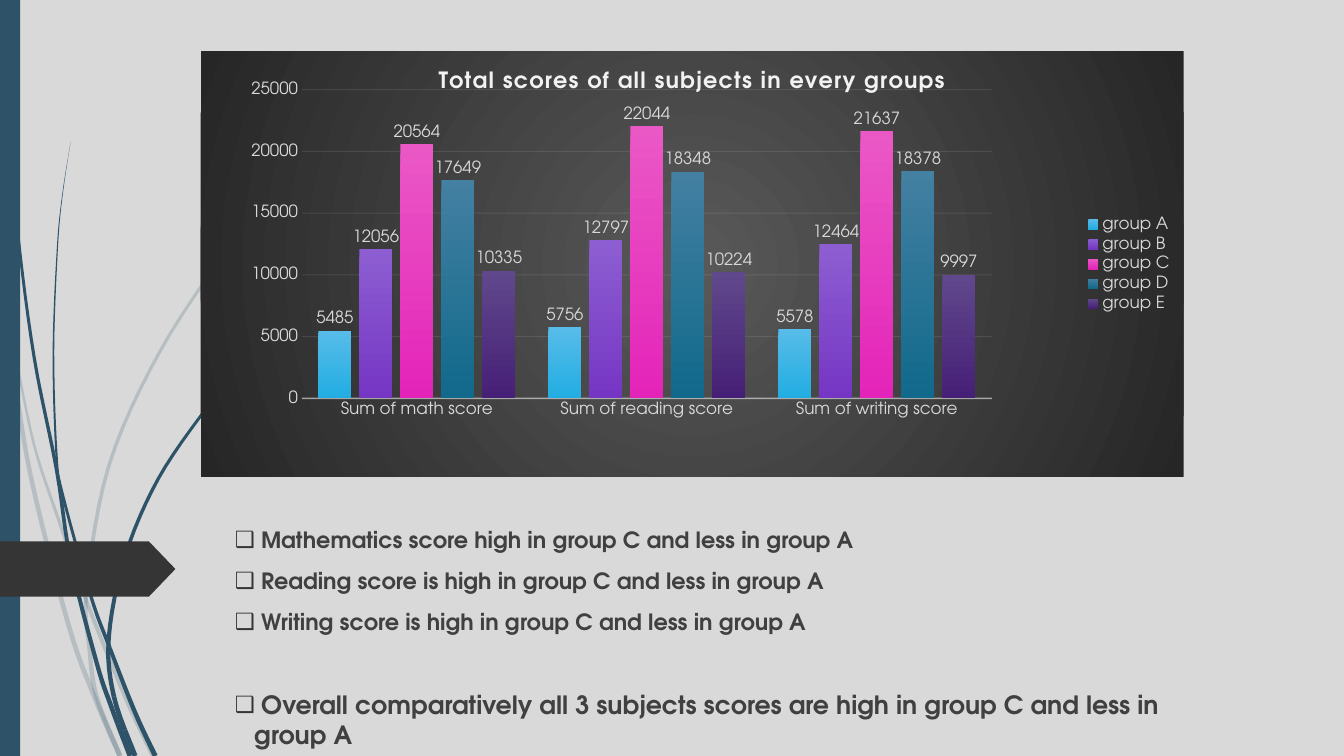
from math import hypot

from lxml import etree
from pptx import Presentation
from pptx.chart.data import CategoryChartData
from pptx.dml.color import RGBColor
from pptx.enum.chart import XL_CHART_TYPE, XL_LABEL_POSITION, XL_LEGEND_POSITION, XL_TICK_MARK
from pptx.enum.shapes import MSO_SHAPE
from pptx.enum.text import MSO_ANCHOR, MSO_AUTO_SIZE
from pptx.oxml import parse_xml
from pptx.oxml.ns import nsdecls, qn
from pptx.util import Inches, Pt

COLUMN = XL_CHART_TYPE.COLUMN_CLUSTERED
OUT_END, RIGHT = XL_LABEL_POSITION.OUTSIDE_END, XL_LEGEND_POSITION.RIGHT
NO_TICK = XL_TICK_MARK.NONE
RECT, ARROW = MSO_SHAPE.RECTANGLE, MSO_SHAPE.PENTAGON
TOP, NO_FIT = MSO_ANCHOR.TOP, MSO_AUTO_SIZE.NONE

FONT = "TeX Gyre Adventor"
PAPER = RGBColor(0xD9, 0xD9, 0xD9)
WHITE = RGBColor(0xF2, 0xF2, 0xF2)
BLUE = RGBColor(0x2E, 0x53, 0x69)
DARK = RGBColor(0x35, 0x35, 0x35)
INK = RGBColor(0x40, 0x40, 0x40)
GLOW = RGBColor(0x59, 0x59, 0x59)
EDGE = RGBColor(0x26, 0x26, 0x26)

# Stems: opacity, half width at the tip, heights of the joints, centre line
STEMS = [
    (20, 0.02, (3.5, 7.14), [(0, 2.9), (0.11, 3.5), (0.3, 4.7), (0.68, 6.2),
                             (0.94, 6.92), (1.19, 7.5)]),
    (20, 0.01, (5.97,), [(0.14, 3.45), (0.34, 4.42), (0.6, 5.21), (0.86, 5.97),
                         (1.25, 6.93), (1.52, 7.5)]),
    (20, 0.01, (5.96, 6.9, 7.11), [
        (3.12, 1.53), (2.68, 1.98), (2.28, 2.44), (1.59, 3.48), (1.08, 4.62),
        (0.86, 5.84), (0.89, 6.46), (0.96, 6.92), (1.19, 7.5)]),
    (100, 0.01, (4.79, 7.21), [
        (0.04, 0), (0.08, 1.1), (0.18, 2.33), (0.34, 3.55), (0.56, 4.65),
        (0.7, 5.56), (0.96, 6.58), (1.1, 7), (1.29, 7.5)]),
    (100, 0, (4.72, 6.43), [
        (0.7, 1.41), (0.62, 1.93), (0.57, 2.45), (0.53, 3.49), (0.56, 4.5),
        (0.62, 4.9), (0.9, 5.91), (1.09, 6.43), (1.34, 7.07), (1.54, 7.5)]),
    (100, 0.01, (6.38, 6.91, 7.19), [
        (2.6, 3.44), (2.31, 3.74), (2.04, 4.06), (1.57, 4.75), (1.24, 5.52),
        (1.08, 6.32), (1.13, 6.91), (1.34, 7.5)]),
]
SCORES = ["Sum of math score", "Sum of reading score", "Sum of writing score"]
# Name, values, colour at the top and at the foot of the bar
GROUPS = [
    ("group A", (5485, 5756, 5578), "57BCE9", "22ADE2"),
    ("group B", (12056, 12797, 12464), "8D5ED1", "7536C4"),
    ("group C", (20564, 22044, 21637), "EA58C6", "E424B9"),
    ("group D", (17649, 18348, 18378), "4380A2", "11698B"),
    ("group E", (10335, 10224, 9997), "60488D", "462076"),
]
# Text, size, space before
NOTES = [
    ("Mathematics score high in group C and less in group A", 16, 0),
    ("Reading score is high in group C and less in group A", 16, 10),
    ("Writing score is high in group C and less in group A", 16, 10),
    ("Overall comparatively all 3 subjects scores are high in group C "
     "and less in group A", 18, 39),
]


def apply(item, values):
    for name, value in values.items():
        setattr(item, name, value)


def fade(color, share):
    etree.SubElement(color, qn("a:alpha")).set("val", str(share * 1000))


def curve(points, steps=6):
    """Smooth line through all points (Catmull-Rom)."""
    ends = [points[0], *points, points[-1]]
    line = []
    for a, b, c, d in zip(ends, ends[1:], ends[2:], ends[3:]):
        for t in (step / steps for step in range(steps)):
            line.append(tuple(
                q + t * (r - p) / 2 + t * t * (2 * p - 5 * q + 4 * r - s) / 2
                + t ** 3 * (3 * q - p - 3 * r + s) / 2
                for p, q, r, s in zip(a, b, c, d)))
    return line + [points[-1]]


class Board:
    def __init__(self, deck):
        self.slide = deck.slides.add_slide(deck.slide_layouts[1])
        self.shapes = self.slide.shapes
        back = self.slide.background.fill
        back.solid()
        back.fore_color.rgb = PAPER

    def paint(self, shape, color):
        shape.shadow.inherit = False
        shape.fill.solid()
        shape.fill.fore_color.rgb = color
        shape.line.fill.background()
        return shape

    def block(self, kind, box, color):
        return self.paint(self.shapes.add_shape(kind, *map(Inches, box)), color)

    def stem(self, share, tip, joints, points):
        line = curve(points)
        sides = []
        for i, (x, y) in enumerate(line):
            (x0, y0), (x1, y1) = line[max(i - 1, 0)], line[min(i + 1, len(line) - 1)]
            half = (tip + (0.025 - tip) * i / len(line)) / hypot(x1 - x0, y1 - y0)
            dx, dy = half * (y1 - y0), half * (x1 - x0)
            sides.append(((Inches(x + dx), Inches(y - dy)), (Inches(x - dx), Inches(y + dy))))
        cuts = [min(range(len(line)), key=lambda i: abs(line[i][1] - y)) for y in joints]
        for start, end in zip([0, *cuts], [*cuts, len(line) - 1]):
            left, right = zip(*sides[start:end + 1])
            pen = self.shapes.build_freeform(*left[0])
            pen.add_line_segments(left[1:] + right[::-1], close=True)
            shape = self.paint(pen.convert_to_shape(), BLUE)
            if share < 100:
                fade(shape._element.xpath("./p:spPr/a:solidFill/a:srgbClr")[0], share)

    def type(self, font, size, color, bold=False):
        apply(font, {"name": FONT, "size": Pt(size), "bold": bold})
        font.color.rgb = color

    def list(self, box, notes):
        head = self.shapes.title._element
        head.getparent().remove(head)
        body = self.slide.placeholders[1]
        apply(body, dict(zip(("left", "top", "width", "height"), map(Inches, box))))
        frame = body.text_frame
        apply(frame, {"word_wrap": True, "auto_size": NO_FIT, "vertical_anchor": TOP})
        for i, (text, size, gap) in enumerate(notes):
            para = frame.add_paragraph() if i else frame.paragraphs[0]
            para.space_before = Pt(gap)
            for words, height in ((" ", 16), (text, size)):
                run = para.add_run()
                run.text = words
                self.type(run.font, height, INK, True)
            props = para._p.get_or_add_pPr()
            props.set("marL", str(Inches(0.19)))
            props.set("indent", str(-Inches(0.19)))
            tint = etree.SubElement(props, qn("a:buClr"))
            etree.SubElement(tint, qn("a:srgbClr")).set("val", str(DARK))
            etree.SubElement(props, qn("a:buChar")).set("char", "❑")

    def chart(self, box, title, cats, groups):
        data = CategoryChartData()
        data.categories = cats
        for name, values, *_ in groups:
            data.add_series(name, values)
        chart = self.shapes.add_chart(COLUMN, *map(Inches, box), data).chart
        self.type(chart.font, 12, PAPER)
        root = chart._chartSpace
        # Title and legend
        frame = chart.chart_title.text_frame
        frame.text = title
        font = frame.paragraphs[0].runs[0].font
        self.type(font, 16, WHITE, True)
        font._element.set("spc", "100")
        chart.has_legend = True
        apply(chart.legend, {"position": RIGHT, "include_in_layout": False})
        # Axes
        scale = chart.value_axis
        for axis in (chart.category_axis, scale):
            apply(axis, {"major_tick_mark": NO_TICK, "minor_tick_mark": NO_TICK})
        apply(scale, {"minimum_scale": 0, "maximum_scale": 25000,
                      "major_unit": 5000, "has_major_gridlines": True})
        scale.format.line.fill.background()
        for part, width, where, share in (
                (chart.category_axis, 1, "c:catAx/c:spPr", 54),
                (scale.major_gridlines, 0.75, "c:majorGridlines", 10)):
            part.format.line.width = Pt(width)
            part.format.line.color.rgb = WHITE
            fade(root.xpath(f".//{where}//a:srgbClr")[0], share)
        # Bars
        plot = chart.plots[0]
        apply(plot, {"gap_width": 100, "overlap": -24, "vary_by_categories": False})
        for bars, (_, _, *shades) in zip(plot.series, groups):
            bars.invert_if_negative = False
            fill = bars.format.fill
            fill.gradient()
            fill.gradient_angle = 270
            for stop, shade in zip(fill.gradient_stops, shades):
                stop.color.rgb = RGBColor.from_string(shade)
            apply(bars.data_labels, {"show_value": True, "position": OUT_END})
            self.type(bars.data_labels.font, 12, PAPER)
        # Plot area place and round glow behind it
        area = root.xpath(".//c:plotArea")[0]
        for old in area.findall(qn("c:layout")):
            area.remove(old)
        spots = "".join(f'<c:{tag} val="{value}"/>' for tag, value in (
            ("layoutTarget", "inner"), ("xMode", "edge"), ("yMode", "edge"),
            ("x", 0.103), ("y", 0.09), ("w", 0.702), ("h", 0.726)))
        area.insert(0, parse_xml(f'<c:layout {nsdecls("c")}><c:manualLayout>{spots}'
                                 '</c:manualLayout></c:layout>'))
        stops = "".join(f'<a:gs pos="{pos}"><a:srgbClr val="{color}"/></a:gs>'
                        for pos, color in ((0, GLOW), (100000, EDGE)))
        root.chart.addnext(parse_xml(
            f'<c:spPr {nsdecls("c", "a")}><a:gradFill><a:gsLst>{stops}</a:gsLst>'
            '<a:path path="circle"><a:fillToRect l="50000" t="50000" r="50000" '
            'b="50000"/></a:path></a:gradFill><a:ln><a:noFill/></a:ln></c:spPr>'))


deck = Presentation()
apply(deck, {"slide_width": Inches(13.33), "slide_height": Inches(7.5)})
board = Board(deck)
# Side decoration
for stem in STEMS:
    board.stem(*stem)
board.block(RECT, (0, 0, 0.2, 7.5), BLUE)
board.block(ARROW, (0, 5.37, 1.74, 0.55), DARK).adjustments[0] = 0.48
# Content
board.list((2.23, 5.17, 9.75, 2.33), NOTES)
board.chart((1.99, 0.51, 9.75, 4.22), "Total scores of all subjects in every groups", SCORES, GROUPS)
deck.save("out.pptx")
